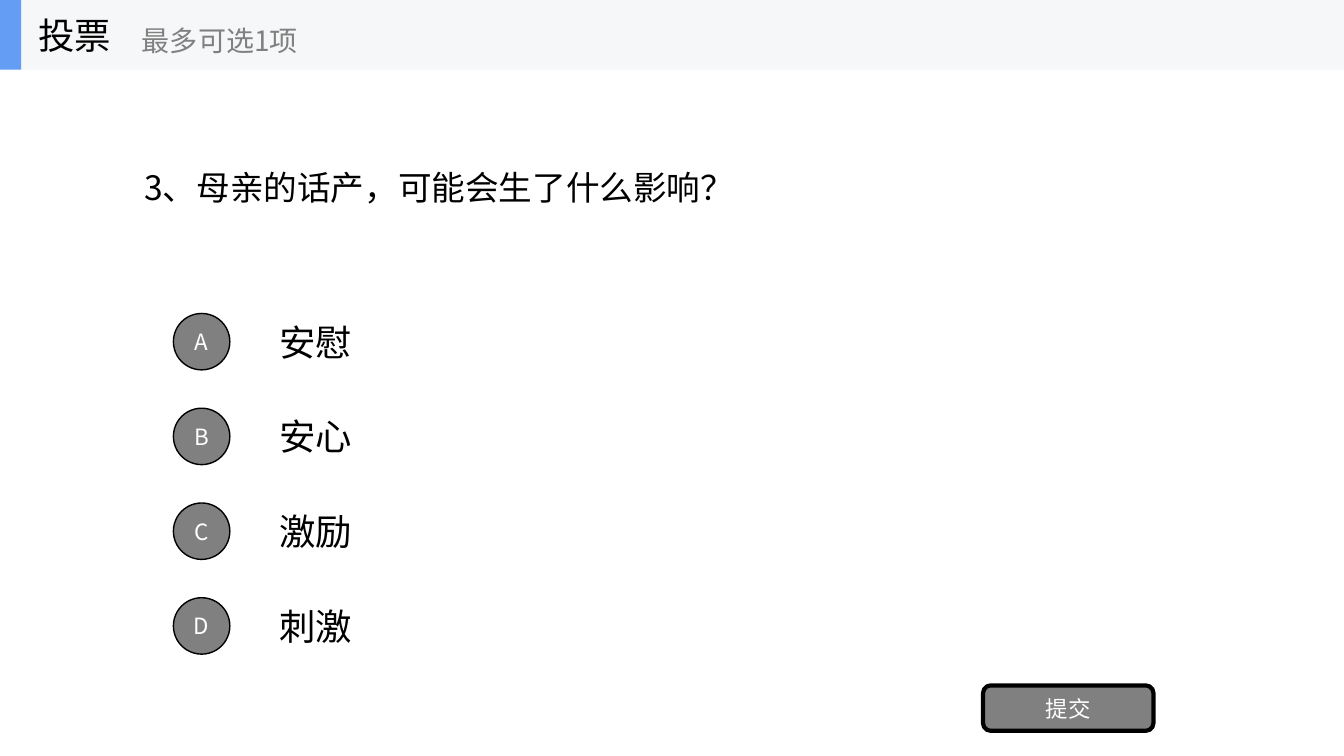
from lxml.etree import SubElement
from pptx import Presentation
from pptx.dml.color import RGBColor
from pptx.enum.lang import MSO_LANGUAGE_ID
from pptx.enum.shapes import MSO_SHAPE
from pptx.enum.text import MSO_ANCHOR, PP_ALIGN
from pptx.oxml.ns import qn
from pptx.util import Inches, Pt

COLORS = {"black": "000000", "gray": "808080", "white": "FFFFFF",
          "band": "F6F7F8", "accent": "639EF4"}


class PollSlide:
    """Holds the font, the colours and the slide being built."""

    font = "Noto Sans CJK SC"

    def __init__(self, prs):
        self.s = prs.slides.add_slide(prs.slide_layouts[5])
        self.shapes = self.s.shapes

    def color(self, name):
        return RGBColor.from_string(COLORS[name])

    def set_text(self, sp, text, size, color, align=PP_ALIGN.LEFT):
        tf = sp.text_frame
        tf.text = text
        tf.word_wrap = True
        tf.vertical_anchor = MSO_ANCHOR.MIDDLE
        p = tf.paragraphs[0]
        p.alignment = align
        r = p.runs[0]
        r.font.size = Pt(size)
        r.font.color.rgb = self.color(color)
        r.font.name = self.font
        r.font.language_id = MSO_LANGUAGE_ID.SIMPLIFIED_CHINESE
        SubElement(r._r.get_or_add_rPr(), qn("a:ea"), typeface=self.font)

    def title(self, text, x, y, w, h, size):
        sp = self.s.shapes.title
        sp.left, sp.top, sp.width, sp.height = map(Inches, (x, y, w, h))
        self.set_text(sp, text, size, "black")

    def label(self, text, x, y, w, h, size, color="black"):
        sp = self.shapes.add_textbox(*map(Inches, (x, y, w, h)))
        self.set_text(sp, text, size, color)

    def block(self, kind, x, y, w, h, fill):
        sp = self.shapes.add_shape(kind, *map(Inches, (x, y, w, h)))
        sp.shadow.inherit = False
        sp.fill.solid()
        sp.fill.fore_color.rgb = self.color(fill)
        sp.line.fill.background()
        return sp

    def button(self, kind, text, x, y, w, h, line):
        sp = self.block(kind, x, y, w, h, "gray")
        sp.line.color.rgb = self.color("black")
        sp.line.width = Pt(line)
        self.set_text(sp, text, 16, "white", PP_ALIGN.CENTER)

    def header(self, text, hint):
        self.shapes = self.s.shapes.add_group_shape().shapes
        self.block(MSO_SHAPE.RECTANGLE, 0, 0, 13.33, 0.69, "band")
        self.block(MSO_SHAPE.RECTANGLE, 0, 0, 0.21, 0.69, "accent")
        self.label(text, 0.28, 0, 2.08, 0.69, 26)
        self.label(hint, 1.31, 0.12, 2.5, 0.56, 20, "gray")
        self.shapes = self.s.shapes


def main():
    prs = Presentation()
    prs.slide_width, prs.slide_height = Inches(13.33), Inches(7.5)
    poll = PollSlide(prs)
    poll.title("3、母亲的话产，可能会生了什么影响？", 1.33, 0.69, 10.67, 2.34, 24)
    options = [("A", "安慰"), ("B", "安心"), ("C", "激励"), ("D", "刺激")]
    for i, (letter, answer) in enumerate(options):
        top = 3.04 + 0.94 * i
        poll.label(answer, 2.67, top, 9.33, 0.7, 26)
        poll.button(MSO_SHAPE.OVAL, letter, 1.72, top + 0.07, 0.56, 0.56, 1)
    poll.button(MSO_SHAPE.ROUNDED_RECTANGLE, "提交", 9.75, 6.8, 1.69, 0.45, 3)
    poll.header("投票", "最多可选1项")
    prs.save("out.pptx")


if __name__ == "__main__":
    main()
